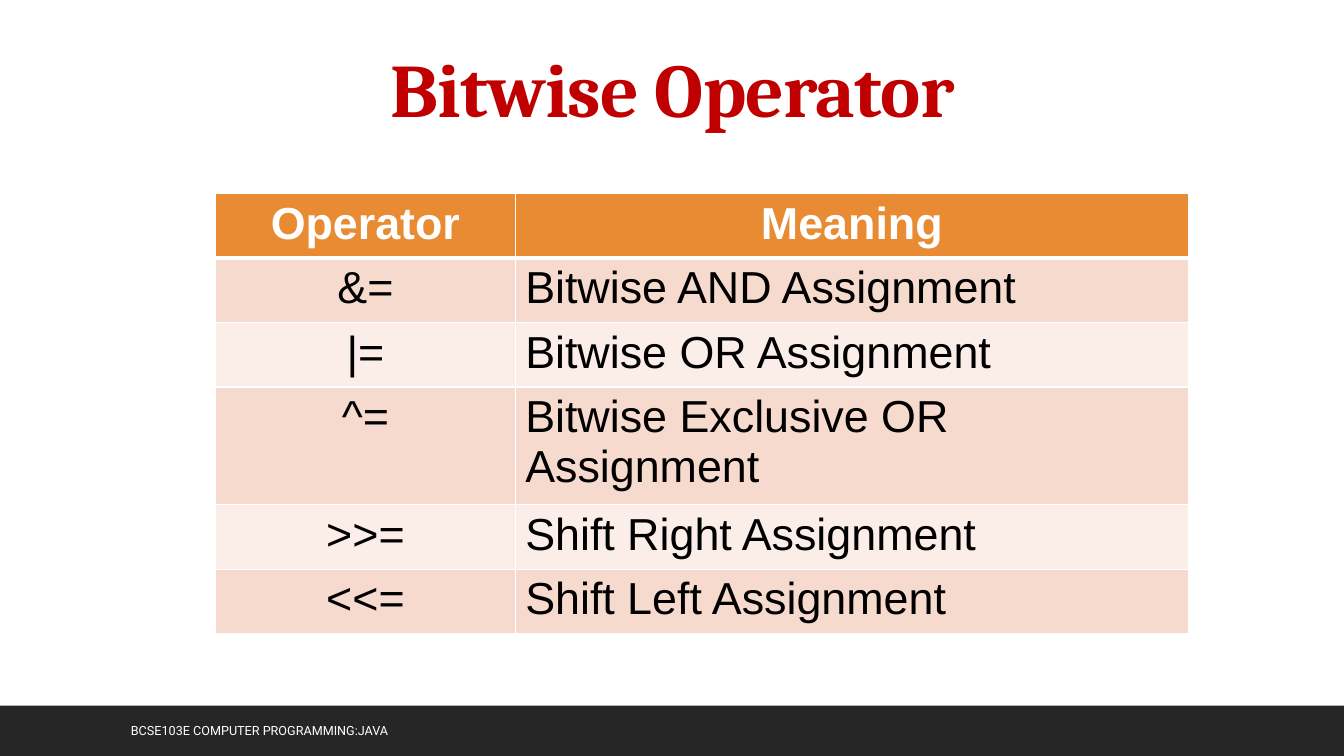
"""Build a slide that lists Java's bitwise assignment operators."""
import pptx
import pptx.util
import pptx.dml.color
import pptx.enum.shapes
import pptx.enum.text
import pptx.oxml.ns
import lxml.etree

Inches = pptx.util.Inches
Pt = pptx.util.Pt
Align = pptx.enum.text.PP_ALIGN
Anchor = pptx.enum.text.MSO_ANCHOR


def paint(fill, shade):
    fill.solid()
    fill.fore_color.rgb = pptx.dml.color.RGBColor.from_string(shade)


class Deck:
    head = {"name": "Cambria", "size": Pt(54), "bold": True}
    top = {"name": "Arial", "size": Pt(32), "bold": True}
    cell = {"name": "Arial", "size": Pt(32), "bold": False}
    foot = {"name": "Roboto", "size": Pt(9), "bold": False}

    def __init__(self):
        self.show = pptx.Presentation()
        self.show.slide_width = Inches(13.33)
        self.show.slide_height = Inches(7.5)
        self.slide = self.show.slides.add_slide(self.show.slide_layouts[5])

    def text(self, frame, words, look, shade, align=Align.LEFT):
        line = frame.paragraphs[0]
        line.alignment = align
        run = line.add_run()
        run.text = words
        for key, value in look.items():
            setattr(run.font, key, value)
        paint(run.font.fill, shade)
        return line

    def title(self, words, box):
        shape = self.slide.shapes.title
        for key, value in zip(("left", "top", "width", "height"), box):
            setattr(shape, key, Inches(value))
        frame = shape.text_frame
        frame.word_wrap = True
        frame.auto_size = pptx.enum.text.MSO_AUTO_SIZE.NONE
        frame.vertical_anchor = Anchor.BOTTOM
        line = self.text(frame, words, self.head, "C00000", Align.CENTER)
        line.line_spacing = 0.9
        line.runs[0].font._element.set("spc", "-50")

    def bar(self, box, shade):
        kind = pptx.enum.shapes.MSO_SHAPE.RECTANGLE
        shape = self.slide.shapes.add_shape(kind, *map(Inches, box))
        shape.shadow.inherit = False
        paint(shape.fill, shade)
        shape.line.fill.background()

    def label(self, words, box):
        frame = self.slide.shapes.add_textbox(*map(Inches, box)).text_frame
        frame.word_wrap = True
        frame.vertical_anchor = Anchor.MIDDLE
        self.text(frame, words, self.foot, "FFFFFF")

    def edge(self, cell, sides):
        props = cell._tc.get_or_add_tcPr()
        name = pptx.oxml.ns.qn
        for spot, (side, width) in enumerate(sides.items()):
            line = lxml.etree.Element(name("a:" + side), w=str(Pt(width)))
            fill = lxml.etree.SubElement(line, name("a:solidFill"))
            lxml.etree.SubElement(fill, name("a:srgbClr"), val="FFFFFF")
            props.insert(spot, line)

    def table(self, rows, box, wide, high):
        shape = self.slide.shapes.add_table(len(rows), len(wide), *map(Inches, box))
        grid = shape.table
        for col, width in zip(grid.columns, wide):
            col.width = Inches(width)
        for i, row in enumerate(rows):
            grid.rows[i].height = Inches(high[i])
            look, ink = (self.cell, "000000") if i else (self.top, "FFFFFF")
            shade = ("FBEEE8", "F6DACE")[i % 2] if i else "E88B33"
            for j, words in enumerate(row):
                cell = grid.cell(i, j)
                align = Align.LEFT if i and j else Align.CENTER
                self.text(cell.text_frame, words, look, ink, align)
                paint(cell.fill, shade)
                self.edge(cell, {"lnL": 1, "lnR": 1, "lnT": 3 if i == 1 else 1,
                                 "lnB": 1 if i else 3})


def main():
    deck = Deck()
    deck.bar((0, 7, 13.33, 0.5), "262626")
    deck.label("BCSE103E COMPUTER PROGRAMMING:JAVA", (1.2, 7.05, 7.46, 0.4))
    deck.title("Bitwise Operator", (1.42, 0.33, 10.5, 1.05))
    rows = [
        ("Operator", "Meaning"),
        ("&=", "Bitwise AND Assignment"),
        ("|=", "Bitwise OR Assignment"),
        ("^=", "Bitwise Exclusive OR Assignment"),
        (">>=", "Shift Right Assignment"),
        ("<<=", "Shift Left Assignment"),
    ]
    high = [1.1 if row[0] == "^=" else 0.64 for row in rows]
    deck.table(rows, (2.14, 1.92, 9.65, sum(high)), (2.97, 6.68), high)
    deck.show.save("out.pptx")


if __name__ == "__main__":
    main()
